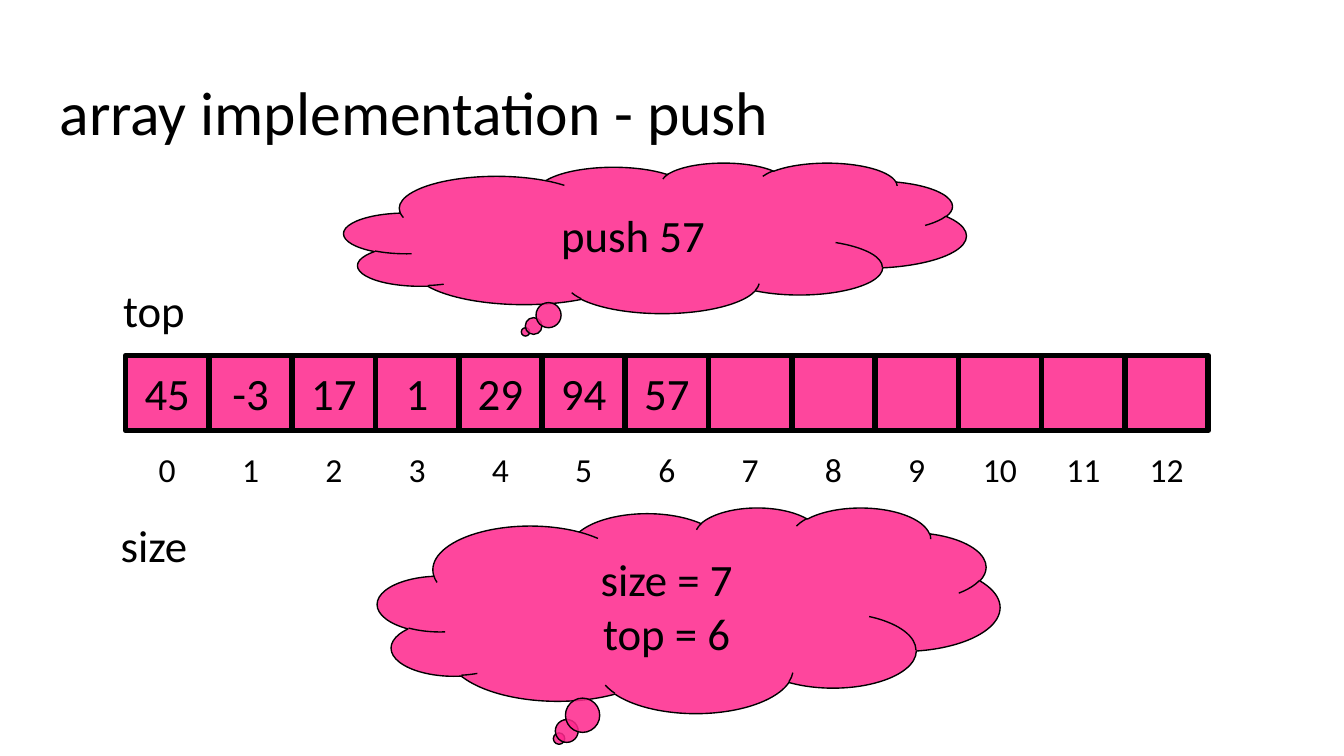
from lxml import etree
from pptx import Presentation
from pptx import util as u
from pptx.dml.color import RGBColor
from pptx.enum import shapes, text
from pptx.oxml.ns import qn

PX = 4572
FONT = "Calibri"
BLACK = "000000"
PINK = "FE288D"
PAD = 20


def px(n):
    return u.Emu(round(n * PX))


def color(value):
    return RGBColor.from_string(value)


def write(sp, lines, size, align=text.PP_ALIGN.CENTER,
          anchor=text.MSO_ANCHOR.MIDDLE, spacing=None):
    tf = sp.text_frame
    tf.word_wrap = True
    tf.vertical_anchor = anchor
    tf.margin_left = tf.margin_right = px(PAD)
    tf.margin_top = tf.margin_bottom = px(PAD)
    for i, line in enumerate(lines):
        p = tf.add_paragraph() if i else tf.paragraphs[0]
        p.alignment = align
        if spacing:
            p.line_spacing = spacing
        r = p.add_run()
        r.text = line
        r.font.name = FONT
        r.font.size = u.Pt(size)
        r.font.color.rgb = color(BLACK)


def label(parent, box, words, size, **style):
    sp = parent.add_textbox(*map(px, box))
    write(sp, [words], size, **style)


def pink_shape(parent, kind, box, line_width):
    sp = parent.add_shape(kind, *map(px, box))
    sp.shadow.inherit = False
    sp.fill.solid()
    sp.fill.fore_color.rgb = color(PINK)
    fill = sp.element.spPr.find(qn("a:solidFill"))
    etree.SubElement(fill[0], qn("a:alpha"), val="86000")
    sp.line.color.rgb = color(BLACK)
    sp.line.width = u.Pt(line_width)
    return sp


def row_boxes(box, count):
    x, y, w, h = box
    step = w / count
    return [(x + i * step, y, step, h) for i in range(count)]


def array_cells(s, box, values, count):
    group = s.shapes.add_group_shape()
    for i, cell in enumerate(row_boxes(box, count)):
        sp = pink_shape(group.shapes, shapes.MSO_SHAPE.RECTANGLE, cell, 3)
        if i < len(values):
            write(sp, [values[i]], 24)


def array_indices(s, box, count):
    group = s.shapes.add_group_shape()
    for i, cell in enumerate(row_boxes(box, count)):
        label(group.shapes, cell, str(i), 18)


def thought(s, box, lines):
    sp = pink_shape(s.shapes, shapes.MSO_SHAPE.CLOUD_CALLOUT, box, 0.75)
    sp.adjustments[0] = -5 / 24
    sp.adjustments[1] = 5 / 8
    write(sp, lines, 24)


def push_slide(prs):
    s = prs.slides.add_slide(prs.slide_layouts[6])
    label(s.shapes, (69, 82, 1864, 160), "array implementation - push", 33,
          align=text.PP_ALIGN.LEFT, anchor=text.MSO_ANCHOR.BOTTOM, spacing=0.9)
    array_cells(s, (187, 529, 1611, 112),
                ["45", "-3", "17", "1", "29", "94", "57"], 13)
    array_indices(s, (187, 642, 1611, 112), 13)
    thought(s, (512, 242, 926, 224), ["push 57"])
    thought(s, (562, 755, 926, 306), ["size = 7", "top = 6"])
    label(s.shapes, (91, 405, 276, 112), "top", 24)
    label(s.shapes, (91, 755, 276, 112), "size", 24)


def main():
    prs = Presentation()
    prs.slide_width = px(2000)
    prs.slide_height = px(1125)
    push_slide(prs)
    prs.save("out.pptx")


if __name__ == "__main__":
    main()
